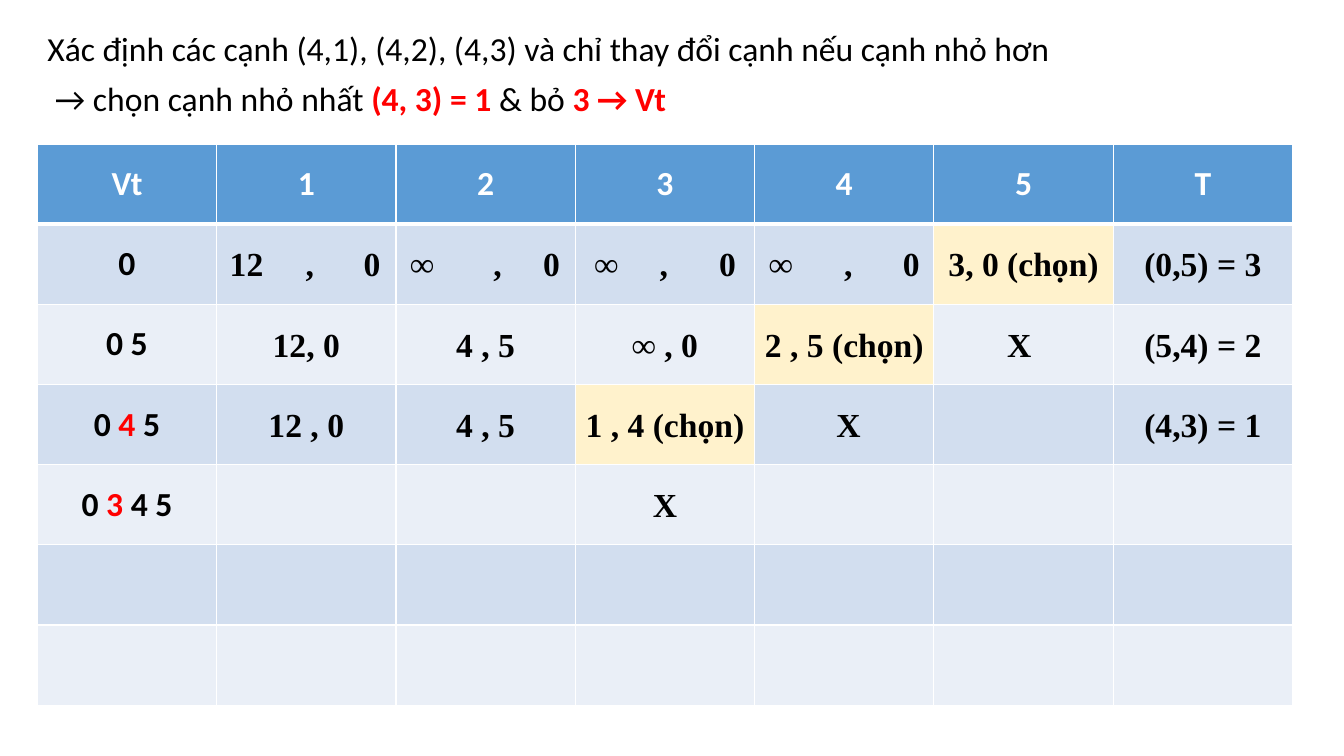
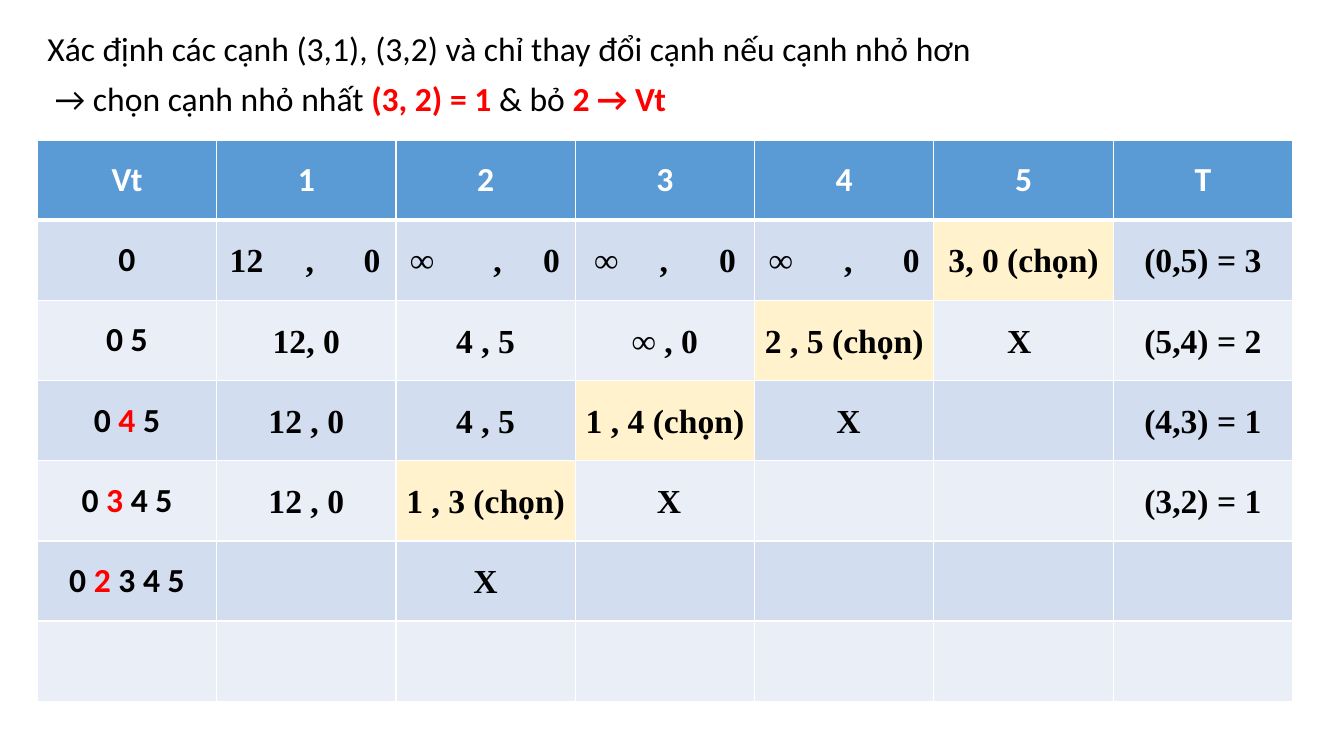
from lxml.etree import SubElement
from pptx import Presentation
from pptx.dml.color import RGBColor
from pptx.enum.text import MSO_ANCHOR, MSO_AUTO_SIZE, PP_ALIGN
from pptx.oxml import parse_xml
from pptx.oxml.ns import nsdecls, qn
from pptx.util import Cm, Pt

BLACK = RGBColor(0x00, 0x00, 0x00)
WHITE = RGBColor(0xFF, 0xFF, 0xFF)
RED = RGBColor(0xFF, 0x00, 0x00)
HEADER = RGBColor(0x5B, 0x9B, 0xD5)
BANDS = (RGBColor(0xEA, 0xEF, 0xF7), RGBColor(0xD2, 0xDE, 0xEF))
CHOSEN = RGBColor(0xFF, 0xF2, 0xCC)
SANS, SERIF = "Calibri", "Times New Roman"

COLS, ROWS = 7, 7
COL_W, ROW_H = 4.52, 2.02
LEFT = 0.94

# Tab stops (cm) of the spread-out first row, by column: start, comma, end
SPREAD = {1: (0.15, 2.17, 3.95), 2: (0.18, 2.38, 3.95),
          3: (0.3, 2.05, 3.87), 4: (0.18, 2.18, 3.98)}

# Steps both slides show; *...* marks red text
HEAD = ["Vt", "1", "2", "3", "4", "5", "T"]
STEPS = [
    ["0", "\t12\t,\t0", "\t∞\t,\t0", "\t∞\t,\t0", "\t∞\t,\t0",
     "3, 0 (chọn)", "(0,5) = 3"],
    ["0 5", "12, 0", "4 , 5", "∞ , 0", "2 , 5 (chọn)", "X ", "(5,4) = 2"],
    ["0 *4* 5", "12 , 0", "4 , 5", "1 , 4 (chọn)", " X", "", "(4,3) = 1"],
]

SLIDES = [
    dict(edges="(4,1), (4,2), (4,3)", best="(4, 3) = 1", vertex="3", top=3.63,
         steps=[["0 *3* 4 5", "", "", "X"]]),
    dict(edges="(3,1), (3,2)", best="(3, 2) = 1", vertex="2", top=3.53,
         steps=[["0 *3* 4 5", "12 , 0", "1 , 3 (chọn)", " X", "", "", "(3,2) = 1"],
                ["0 *2* 3 4 5", "", "X"]]),
]


def write(p, text, font=SANS, size=24, color=BLACK, bold=False):
    """Fill a paragraph; parts between asterisks become bold red."""
    for i, part in enumerate(text.split("*")):
        if part:
            marked = i % 2 == 1
            r = p.add_run()
            r.text = part
            r.font.name, r.font.size = font, Pt(size)
            r.font.bold = bold or marked
            r.font.color.rgb = RED if marked else color


class Deck:
    def __init__(self):
        self.prs = Presentation()
        self.prs.slide_width, self.prs.slide_height = Cm(33.87), Cm(19.05)
        self.slide = None

    def new_slide(self):
        self.slide = self.prs.slides.add_slide(self.prs.slide_layouts[1])
        title = self.slide.shapes.title._element
        title.getparent().remove(title)

    def body(self, lines):
        sp = self.slide.placeholders[1]
        sp.left, sp.top, sp.width, sp.height = Cm(LEFT), Cm(0.69), Cm(32.03), Cm(17.8)
        tf = sp.text_frame
        tf.word_wrap, tf.auto_size = True, MSO_AUTO_SIZE.NONE
        tf.vertical_anchor = MSO_ANCHOR.TOP
        for i, line in enumerate(lines):
            p = tf.add_paragraph() if i else tf.paragraphs[0]
            p.line_spacing, p.space_before = 0.9, Pt(10)
            pPr = p._p.get_or_add_pPr()
            pPr.set("marL", "0")
            pPr.set("indent", "0")
            SubElement(pPr, qn("a:buNone"))
            write(p, line)

    def table(self, rows, top):
        table = self.slide.shapes.add_table(
            ROWS, COLS, Cm(LEFT), Cm(top), Cm(COL_W * COLS), Cm(ROW_H * ROWS)).table
        table.horz_banding = table.first_row = False
        for col in table.columns:
            col.width = Cm(COL_W)
        for row in table.rows:
            row.height = Cm(ROW_H)
        for r in range(ROWS):
            texts = rows[r] if r < len(rows) else []
            for c in range(COLS):
                text = texts[c] if c < len(texts) else ""
                self.cell(table.cell(r, c), r, c, text)

    def cell(self, cell, r, c, text):
        cell.vertical_anchor = MSO_ANCHOR.MIDDLE
        cell.fill.solid()
        cell.fill.fore_color.rgb = (
            HEADER if r == 0 else CHOSEN if "(chọn)" in text else BANDS[r % 2])
        self.borders(cell, r)
        p = cell.text_frame.paragraphs[0]
        p.alignment = PP_ALIGN.CENTER
        is_value = r > 0 and c > 0
        if is_value:
            cell.margin_left = cell.margin_right = Cm(0.18)
            cell.margin_top = cell.margin_bottom = 0
            p.line_spacing = 1.07
        if "\t" in text:
            self.tabs(p, SPREAD[c])
        write(p, text, font=SERIF if is_value else SANS,
              color=BLACK if r else WHITE, bold=True)

    def tabs(self, p, stops):
        p.alignment = PP_ALIGN.LEFT
        tab_list = SubElement(p._p.get_or_add_pPr(), qn("a:tabLst"))
        for pos, algn in zip(stops, ("l", "ctr", "r")):
            SubElement(tab_list, qn("a:tab"), pos=str(int(Cm(pos))), algn=algn)

    def borders(self, cell, r):
        # The line below the header is thicker
        widths = {"L": 1, "R": 1, "T": 3 if r == 1 else 1, "B": 1 if r else 3}
        tcPr = cell._tc.get_or_add_tcPr()
        for i, (side, width) in enumerate(widths.items()):
            tcPr.insert(i, parse_xml(
                f'<a:ln{side} {nsdecls("a")} w="{int(Pt(width))}"><a:solidFill>'
                f'<a:srgbClr val="{WHITE}"/></a:solidFill></a:ln{side}>'))


def main():
    deck = Deck()
    for s in SLIDES:
        deck.new_slide()
        deck.body([
            f"Xác định các cạnh {s['edges']} và chỉ thay đổi cạnh nếu cạnh nhỏ hơn",
            f" → chọn cạnh nhỏ nhất *{s['best']} *& bỏ *{s['vertex']} → Vt*",
        ])
        deck.table([HEAD] + STEPS + s["steps"], s["top"])
    deck.prs.save("out.pptx")


if __name__ == "__main__":
    main()
